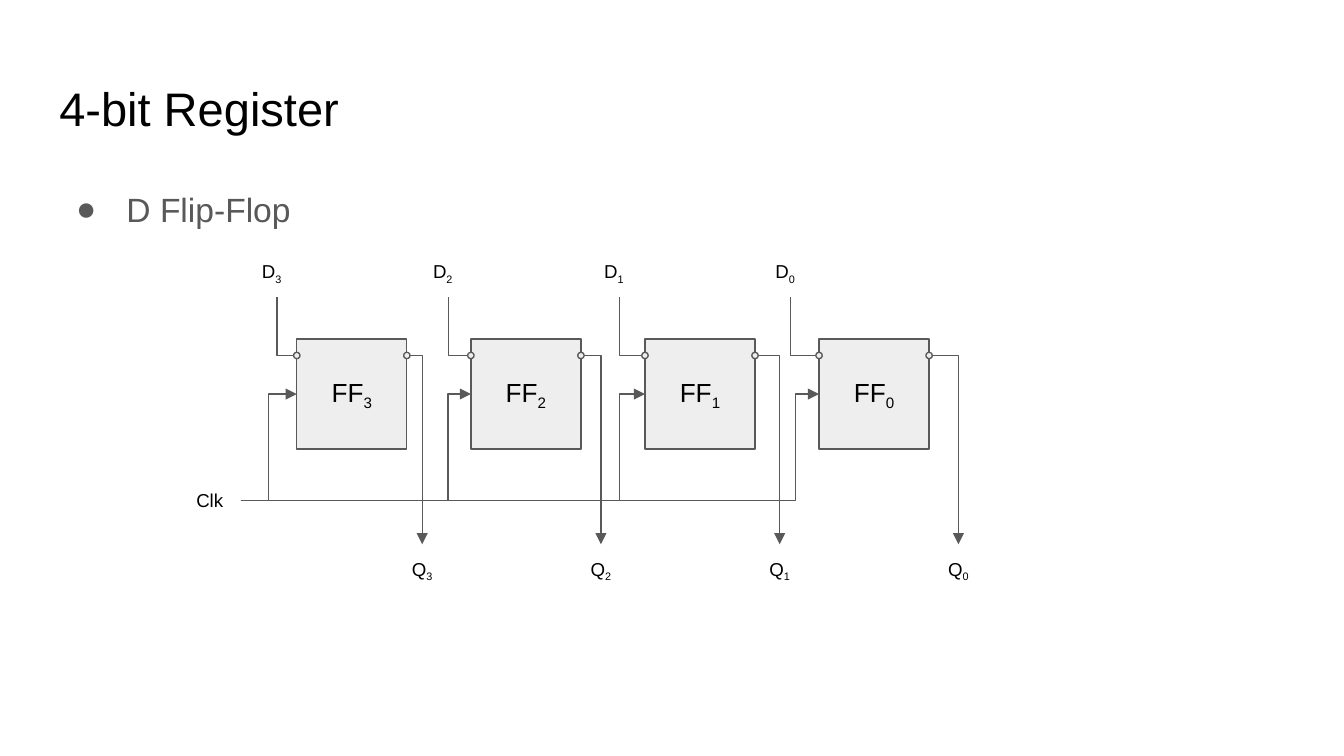
from lxml import etree
from pptx import Presentation
from pptx.dml.color import RGBColor
from pptx.enum.shapes import MSO_CONNECTOR, MSO_SHAPE
from pptx.enum.text import MSO_ANCHOR, MSO_AUTO_SIZE, PP_ALIGN
from pptx.oxml.ns import qn
from pptx.util import Cm, Pt

ELBOW = MSO_CONNECTOR.ELBOW
RECT, OVAL = MSO_SHAPE.RECTANGLE, MSO_SHAPE.OVAL
LEFT, CENTER = PP_ALIGN.LEFT, PP_ALIGN.CENTER
TOP, MIDDLE = MSO_ANCHOR.TOP, MSO_ANCHOR.MIDDLE
COLORS = {"text": "000000", "gray": "595959", "fill": "EEEEEE"}
rgb = {name: RGBColor.from_string(value) for name, value in COLORS.items()}


def write(sp, text, size, sub="", align=LEFT, anchor=TOP, color="text"):
    tf = sp.text_frame
    tf.word_wrap = True
    tf.auto_size = MSO_AUTO_SIZE.NONE
    tf.vertical_anchor = anchor
    tf.margin_left = tf.margin_right = tf.margin_top = tf.margin_bottom = Cm(0.25)
    p = tf.paragraphs[0]
    p.alignment = align
    p.space_before = Pt(0)
    for part in filter(None, (text, sub)):
        r = p.add_run()
        r.text = part
        r.font.name = "Arial"
        r.font.size = Pt(size)
        r.font.color.rgb = rgb[color]
        if part == sub:
            r._r.get_or_add_rPr().set("baseline", "-25000")
    return p


def wire(x1, y1, x2, y2, bend=None, arrow=True):
    c = s.shapes.add_connector(ELBOW, Cm(x1), Cm(y1), Cm(x2), Cm(y2))
    c.line.color.rgb = rgb["gray"]
    c.line.width = Pt(0.75)
    spPr = c._element.spPr
    geom = spPr.find(qn("a:prstGeom"))
    if bend is None:
        geom.set("prst", "bentConnector2")
    else:
        adj = round((bend - x1) / (x2 - x1) * 100000)
        guides = geom.find(qn("a:avLst"))
        etree.SubElement(guides, qn("a:gd"), name="adj1", fmla=f"val {adj}")
    if arrow:
        etree.SubElement(spPr.find(qn("a:ln")), qn("a:tailEnd"), type="triangle")
    etree.SubElement(spPr, qn("a:effectLst"))


prs = Presentation()
prs.slide_width, prs.slide_height = Cm(25.4), Cm(14.29)
s = prs.slides.add_slide(prs.slide_layouts[1])

title, body = s.placeholders
for sp, top, height in ((title, 1.24, 1.6), (body, 3.2, 9.5)):
    sp.left, sp.top, sp.width, sp.height = Cm(0.87), Cm(top), Cm(23.67), Cm(height)
write(title, "4-bit Register", 25.2, anchor=MIDDLE)
p = write(body, "D Flip-Flop", 18, color="gray")
p.line_spacing = 1.15
pPr = p._p.get_or_add_pPr()
pPr.set("marL", str(Cm(1.27)))
pPr.set("indent", str(-Cm(0.95)))
bullet_color = etree.SubElement(pPr, qn("a:buClr"))
etree.SubElement(bullet_color, qn("a:srgbClr"), val=COLORS["gray"])
etree.SubElement(pPr, qn("a:buFont"), typeface="Arial")
etree.SubElement(pPr, qn("a:buChar"), char="●")

BOX, DOT = 2.08, 0.12
LABEL_W, LABEL_H = 1.09, 0.94
box_top, pin_y, clk_in_y = 6.41, 6.72, 7.45
d_top, q_top = 4.67, 10.29
clk_x, clk_y = 4.55, 9.46
clk_bends = [5.07, 8.47, 11.71, 15.03]

sp = s.shapes.add_textbox(Cm(3.46), Cm(9), Cm(LABEL_W), Cm(LABEL_H))
write(sp, "Clk", 10)

for i, clk_bend in enumerate(clk_bends):
    bit = str(3 - i)
    box_x = 5.61 + 3.29 * i
    d_x = 5.24 + 3.235 * i
    q_x = 7.98 + 3.378 * i
    box_right = box_x + BOX

    shapes = [(RECT, box_x, box_top, BOX)]
    for pin_x in (box_x, box_right):
        shapes.append((OVAL, pin_x - DOT / 2, pin_y - DOT / 2, DOT))
    for kind, x, y, size in shapes:
        sp = s.shapes.add_shape(kind, Cm(x), Cm(y), Cm(size), Cm(size))
        sp.shadow.inherit = False
        sp.fill.solid()
        sp.fill.fore_color.rgb = rgb["fill"]
        sp.line.color.rgb = rgb["gray"]
        sp.line.width = Pt(0.75)
        if kind == RECT:
            write(sp, "FF", 14, bit, CENTER, MIDDLE)

    for name, x, y, align in (("D", d_x - 0.54, d_top, LEFT),
                              ("Q", q_x - LABEL_W / 2, q_top, CENTER)):
        sp = s.shapes.add_textbox(Cm(x), Cm(y), Cm(LABEL_W), Cm(LABEL_H))
        write(sp, name, 10, bit, align)

    wire(clk_x, clk_y, box_x, clk_in_y, bend=clk_bend)
    wire(box_x - DOT / 2, pin_y, d_x, d_top + LABEL_H, arrow=False)
    wire(box_right + DOT / 2, pin_y, q_x, q_top)

prs.save("out.pptx")
